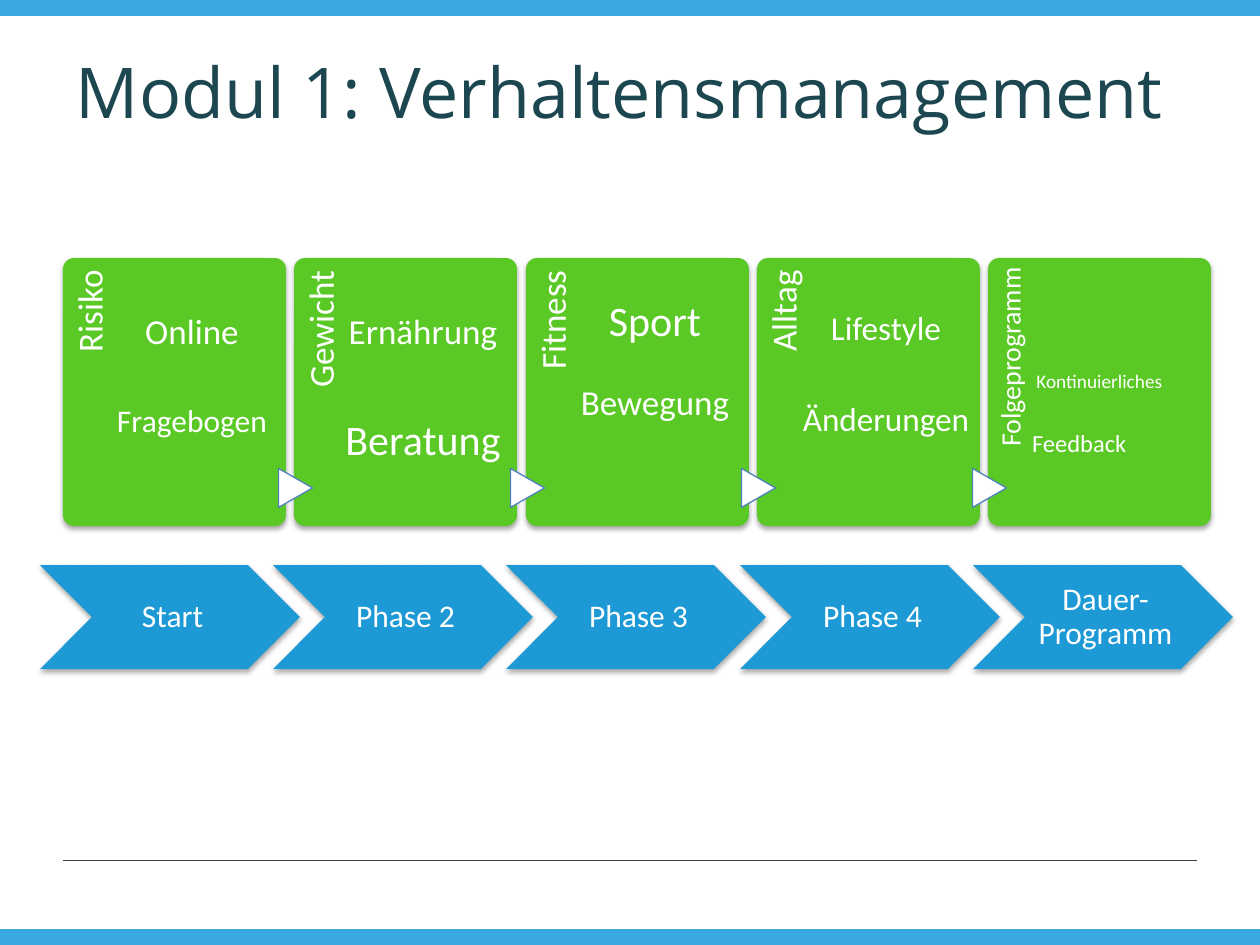
from lxml.etree import SubElement
from pptx import Presentation
from pptx.dml.color import RGBColor
from pptx.enum.shapes import MSO_CONNECTOR, MSO_SHAPE
from pptx.enum.text import MSO_ANCHOR, PP_ALIGN
from pptx.oxml.ns import qn
from pptx.util import Emu, Pt

GREEN, BLUE, SKY, WHITE = "5AC825", "1D9AD5", "3AA9E0", "FFFFFF"
CARDS = [
    ("Risiko", 20, [("Online", 20), ("Fragebogen", 18)], 2, 9),
    ("Gewicht", 20, [("Ernährung", 20), ("Beratung", 24)], 2, 9),
    ("Fitness", 20, [("Sport", 24), ("Bewegung", 20)], 1.5, 11),
    ("Alltag", 20, [("Lifestyle", 19), ("Änderungen", 19)], 2, 9),
    ("Folgeprogramm", 16, [(" Kontinuierliches", 11), ("Feedback", 14)], 2, 88),
]
STEPS = ["Start", "Phase 2", "Phase 3", "Phase 4", "Dauer-Programm"]


def px(n):
    return Emu(round(n * 914400 / 126))


def paint(code):
    return RGBColor.from_string(code)


class Deck:
    """Draws styled elements on one slide."""

    def __init__(self, font):
        self.font = font
        self.file = Presentation()
        self.file.slide_width, self.file.slide_height = px(1260), px(945)
        self.slide = self.file.slides.add_slide(self.file.slide_layouts[6])

    def shape(self, kind, box, fill, line=None, turn=0, shade=False):
        item = self.slide.shapes.add_shape(kind, *map(px, box))
        item.rotation = turn
        item.shadow.inherit = False
        item.fill.solid()
        item.fill.fore_color.rgb = paint(fill)
        if line:
            item.line.color.rgb = paint(line)
            item.line.width = Pt(0.75)
        else:
            item.line.fill.background()
        if shade:
            self.shade(item)
        return item

    def shade(self, item):
        glow = SubElement(item.element.spPr.find(qn("a:effectLst")), qn("a:outerShdw"),
                          blurRad=str(Pt(3.1)), dist=str(Pt(1.8)), dir="5400000", rotWithShape="0")
        tone = SubElement(glow, qn("a:srgbClr"), val="000000")
        SubElement(tone, qn("a:alpha"), val="35000")

    def line(self, left, right, y):
        item = self.slide.shapes.add_connector(
            MSO_CONNECTOR.STRAIGHT, px(left), px(y), px(right), px(y))
        item.line.color.rgb = paint("404040")
        item.line.width = Pt(0.25)
        SubElement(item.element.spPr, qn("a:effectLst"))

    def text(self, box, rows, inset, align=PP_ALIGN.CENTER, space=0.9, after=0.35,
             anchor=MSO_ANCHOR.TOP, turn=0, font=None, color=WHITE):
        item = self.slide.shapes.add_textbox(*map(px, box))
        item.rotation = turn
        frame = item.text_frame
        frame.word_wrap = True
        frame.vertical_anchor = anchor
        (frame.margin_left, frame.margin_top,
         frame.margin_right, frame.margin_bottom) = map(px, inset)
        for i, (words, size) in enumerate(rows):
            para = frame.add_paragraph() if i else frame.paragraphs[0]
            para.text = words
            para.alignment = align
            para.line_spacing = space
            para.space_after = Pt(round(size * after, 1))
            para.font.name = font or self.font
            para.font.size = Pt(size)
            para.font.color.rgb = paint(color)

    def card(self, i, label, size, rows, space, top):
        x = 63 + round(231.3 * i)
        last = i == len(CARDS) - 1
        self.shape(MSO_SHAPE.ROUNDED_RECTANGLE, (x, 258, 223, 268), GREEN,
                   shade=True).adjustments[0] = 0.05
        self.text((x - 88, 346, 221, 44), [(label, size)], (0, 8 if last else 9, 10 if last else 13, 0),
                  PP_ALIGN.RIGHT, turn=270)
        if i:
            self.shape(MSO_SHAPE.FLOWCHART_EXTRACT, (x - 18, 471, 39, 34),
                       WHITE, "4F81BD", turn=90)
        self.text((x + 44, 258, 170, 268), rows, (0, top, 0, 0),
                  PP_ALIGN.LEFT if last else PP_ALIGN.CENTER, space)

    def step(self, i, label):
        x = 40 + round(233.2 * i)
        self.shape(MSO_SHAPE.CHEVRON, (x, 565, 260, 104), BLUE, shade=True)
        self.text((x + 52, 565, 155, 104), [(label, 18)], (10, 4, 4, 4),
                  anchor=MSO_ANCHOR.MIDDLE)


def main():
    deck = Deck("Calibri")
    for y in (0, 930):
        deck.shape(MSO_SHAPE.RECTANGLE, (0, y, 1260, 15), SKY, SKY)
    deck.line(63, 1197, 860)
    for i, card in enumerate(CARDS):
        deck.card(i, *card)
    for i, label in enumerate(STEPS):
        deck.step(i, label)
    deck.text((63, 38, 1134, 104), [("Modul 1: Verhaltensmanagement", 40)], (13, 6, 13, 6),
              PP_ALIGN.LEFT, 1, 0, MSO_ANCHOR.MIDDLE, font="Open Sans", color="1D4750")
    deck.file.save("out.pptx")


if __name__ == "__main__":
    main()
